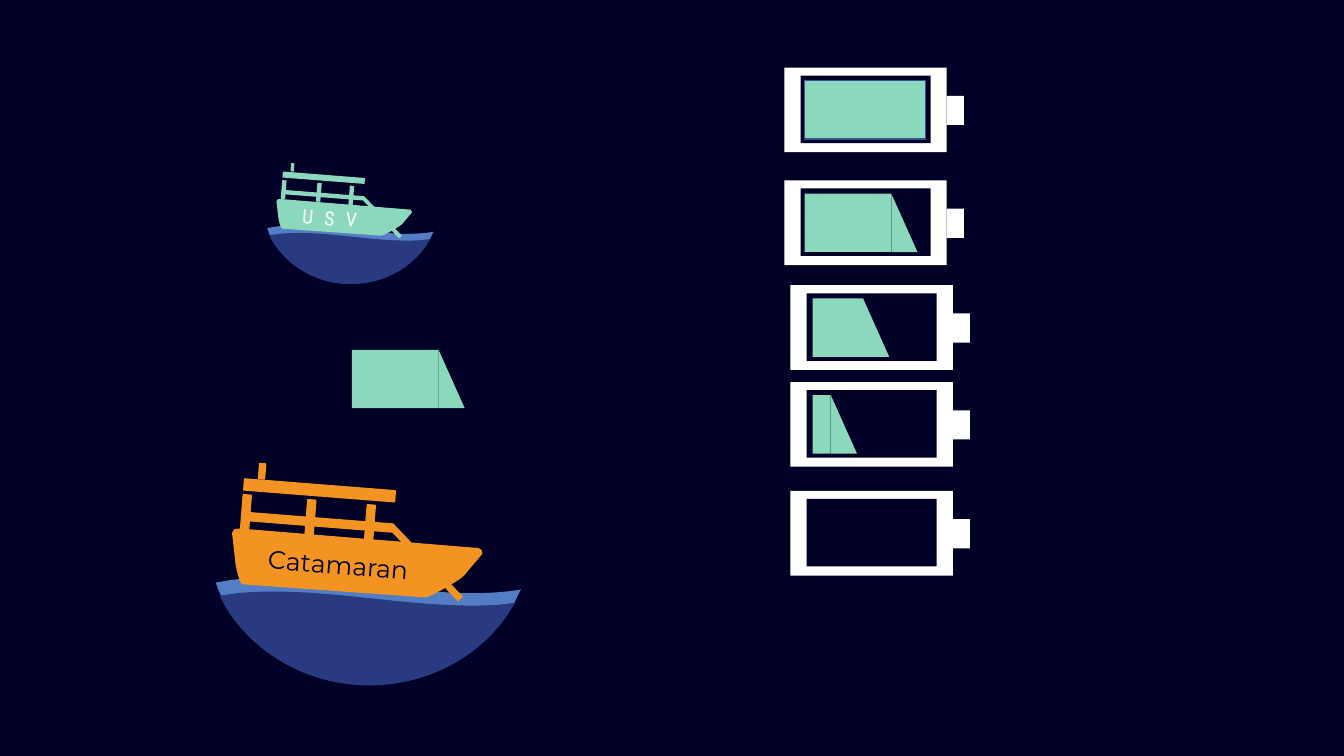
from math import cos, radians, sin

from lxml import etree
from pptx import Presentation
from pptx.dml.color import RGBColor
from pptx.enum.shapes import MSO_CONNECTOR, MSO_SHAPE
from pptx.enum.text import MSO_AUTO_SIZE
from pptx.oxml.ns import qn
from pptx.util import Inches, Pt

RECT = MSO_SHAPE.RECTANGLE
WEDGE = MSO_SHAPE.RIGHT_TRIANGLE
OVAL = MSO_SHAPE.OVAL
LINE = MSO_CONNECTOR.STRAIGHT
GROW = MSO_AUTO_SIZE.SHAPE_TO_FIT_TEXT
COLS, ROWS, CELL = 13.33, 7.5, Inches(1)
NIGHT, WHITE, MINT, AMBER = "010026", "FFFFFF", "8BD8BD", "F39422"
WAVE, SEA, EDGE, DOT = "537EC5", "293A80", "325491", "4472C4"
TILT, STAY = 4.5, 46.4

CREST = [(2.66, 5.72), (3.5, 5.7, 4.33, 5.98, 5.16, 5.85), (5.17, 5.84), (5.16, 5.86),
         (4.92, 6.41, 4.34, 6.79, 3.66, 6.79), (2.99, 6.79, 2.41, 6.41, 2.17, 5.86),
         (2.14, 5.78), (2.25, 5.76), (2.39, 5.74, 2.52, 5.73, 2.66, 5.72)]
DEEP = [(2.66, 5.87), (3.43, 5.86, 4.19, 6.05, 4.95, 6), (5.11, 5.98), (5.09, 6.01),
        (4.82, 6.48, 4.28, 6.8, 3.66, 6.8), (3.05, 6.8, 2.51, 6.48, 2.23, 6.01),
        (2.18, 5.91), (2.25, 5.9), (2.38, 5.88, 2.52, 5.87, 2.66, 5.87)]
HULL = [(2.31, 5.29), (2.32, 5.25, 2.35, 5.25, 2.38, 5.25), (4.7, 5.44),
        (4.73, 5.44, 4.78, 5.44, 4.78, 5.49), (4.62, 5.68),
        (4.62, 5.72, 4.26, 5.92, 4.22, 5.92), (2.41, 5.79),
        (2.38, 5.78, 2.34, 5.6, 2.34, 5.55), (2.31, 5.29)]
BEAMS = [(2.4, 4.91, 0.08, 0.34), (2.4, 5.14, 1.5, 0.08), (3.63, 5.01, 0.08, 0.35),
         (2.42, 4.81, 1.5, 0.11), (2.57, 4.6, 0.06, 0.15), (3.04, 4.96, 0.08, 0.34)]
STRUT = (3.73, 5.55, 0.99, 0.07)
JOINT = (3.9, 5.24)
MID = (3.53, 5.62)


def color(code):
    """Turn a hex string into a colour."""
    return RGBColor.from_string(code)


def write(frame, text, size=18, font="Montserrat", ink=NIGHT, space=0):
    """Put one formatted run into a text frame."""
    run = frame.paragraphs[0].add_run()
    run.text = text
    run.font.size, run.font.name = Pt(size), font
    run.font.color.rgb = color(ink)
    if space:
        run._r.get_or_add_rPr().set("spc", str(space * 100))


def turn(point, angle, mid):
    """Rotate a point clockwise by an angle about a middle point."""
    c, s = cos(radians(angle)), sin(radians(angle))
    x, y = point[0] - mid[0], point[1] - mid[1]
    return mid[0] + x * c - y * s, mid[1] + x * s + y * c


class Deck:
    """Hold the style and the current slide."""

    def __init__(self):
        """Open a dark blank slide."""
        self.file = Presentation()
        self.file.slide_width = int(COLS * CELL)
        self.file.slide_height = int(ROWS * CELL)
        self.slide = self.file.slides.add_slide(self.file.slide_layouts[6])
        self.slide.background.fill.solid()
        self.slide.background.fill.fore_color.rgb = color(NIGHT)
        self.layer = self.slide.shapes

    def group(self, on=True):
        """Start a new group, or go back to the slide."""
        shapes = self.slide.shapes
        self.layer = shapes.add_group_shape().shapes if on else shapes

    def paint(self, shape, fill, line=None, angle=0):
        """Set fill, line and rotation of a shape."""
        shape.shadow.inherit = False
        shape.rotation = angle
        shape.fill.solid()
        shape.fill.fore_color.rgb = color(fill)
        if line:
            shape.line.color.rgb = color(line)
            shape.line.width = Pt(1)
        else:
            shape.line.fill.background()

    def block(self, box, fill, kind=RECT, **look):
        """Add a preset shape."""
        shape = self.layer.add_shape(kind, *(int(v * CELL) for v in box))
        self.paint(shape, fill, **look)

    def outline(self, route, move, fill, **look):
        """Add a closed free shape of corners and cubic curves."""
        dots = []
        for part in route:
            for x, y in zip(part[::2], part[1::2]):
                dots.append(tuple(v * CELL for v in move(x, y)))
        pen = self.layer.build_freeform(*dots[0])
        pen.add_line_segments(dots[1:], close=True)
        shape = pen.convert_to_shape()
        trail = shape._element.find(".//" + qn("a:path"))
        marks = iter(list(trail))
        for part in route:
            mark = next(marks)
            if len(part) == 6:
                mark.tag = qn("a:cubicBezTo")
                for extra in (next(marks), next(marks)):
                    mark.append(extra[0])
                    trail.remove(extra)
        self.paint(shape, fill, **look)

    def dot(self, x, y):
        """Add the point-like line where rail and strut meet."""
        spot = int(x * CELL), int(y * CELL)
        line = self.layer.add_connector(LINE, *spot, *spot)
        line.line.color.rgb = color(DOT)
        line.line.width = Pt(0.5)
        etree.SubElement(line._element.spPr, qn("a:effectLst"))

    def label(self, box, text, **form):
        """Add a tilted line of text."""
        shape = self.layer.add_textbox(*(int(v * CELL) for v in box))
        shape.rotation = TILT
        shape.text_frame.word_wrap = False
        shape.text_frame.auto_size = GROW
        write(shape.text_frame, text, **form)

    def boat(self, left, top, scale, fill, line=None):
        """Add a boat on water, scaled from the large one."""
        def place(x, y):
            return left + (x - 2.14) * scale, top + (y - 5.72) * scale

        def level(x, y):
            return place(*turn((x, y), -TILT, MID))

        def fit(x, y, w, h):
            return *place(x, y), w * scale, h * scale

        self.outline(CREST, place, WAVE)
        self.outline(DEEP, place, SEA)
        self.outline(HULL, level, fill, line=line, angle=TILT)
        for beam in BEAMS[:-1]:
            self.block(fit(*beam), fill, line=line, angle=TILT)
        self.dot(*place(*JOINT))
        self.block(fit(*STRUT), fill, angle=STAY)
        self.block(fit(*BEAMS[-1]), fill, line=line, angle=TILT)

    def charge(self, x, y, width, slope=True, line=None):
        """Add a charge bar with an optional sloping end."""
        if slope:
            self.block((x + width, y, 0.26, 0.58), MINT, WEDGE)
        self.block((x, y, width, 0.58), MINT, line=line)

    def cell(self, x, y):
        """Add an empty battery."""
        self.group()
        self.block((x, y, 1.61, 0.84), WHITE)
        self.block((x + 0.16, y + 0.08, 1.29, 0.67), NIGHT)
        self.block((x + 1.61, y + 0.28, 0.17, 0.29), WHITE)
        self.group(False)


deck = Deck()
deck.group()
deck.boat(2.14, 5.72, 1, AMBER, AMBER)
deck.label((2.56, 5.4, 1.6, 0.4), "Catamaran")
deck.group()
deck.block((2.6, 1.16, 1.77, 1.65), NIGHT, OVAL)
deck.boat(2.65, 2.23, 0.545, MINT)
deck.label((2.9, 2, 0.91, 0.34), "USV", size=14, font="Roboto Condensed",
           ink=WHITE, space=8)
deck.group(False)
deck.charge(3.49, 3.47, 0.86)

NEAR, FAR = (7.78, 0.2), (7.84, 0.22)
for (x, gap), y, width in ((NEAR, 0.67, 1.2), (NEAR, 1.79, 0.86), (FAR, 2.83, 0.5),
                           (FAR, 3.79, 0.18), (FAR, 4.87, 0)):
    deck.cell(x, y)
    full = width == 1.2
    if width:
        deck.charge(x + gap, y + 0.13, width, not full, EDGE if full else None)

deck.file.save("out.pptx")
